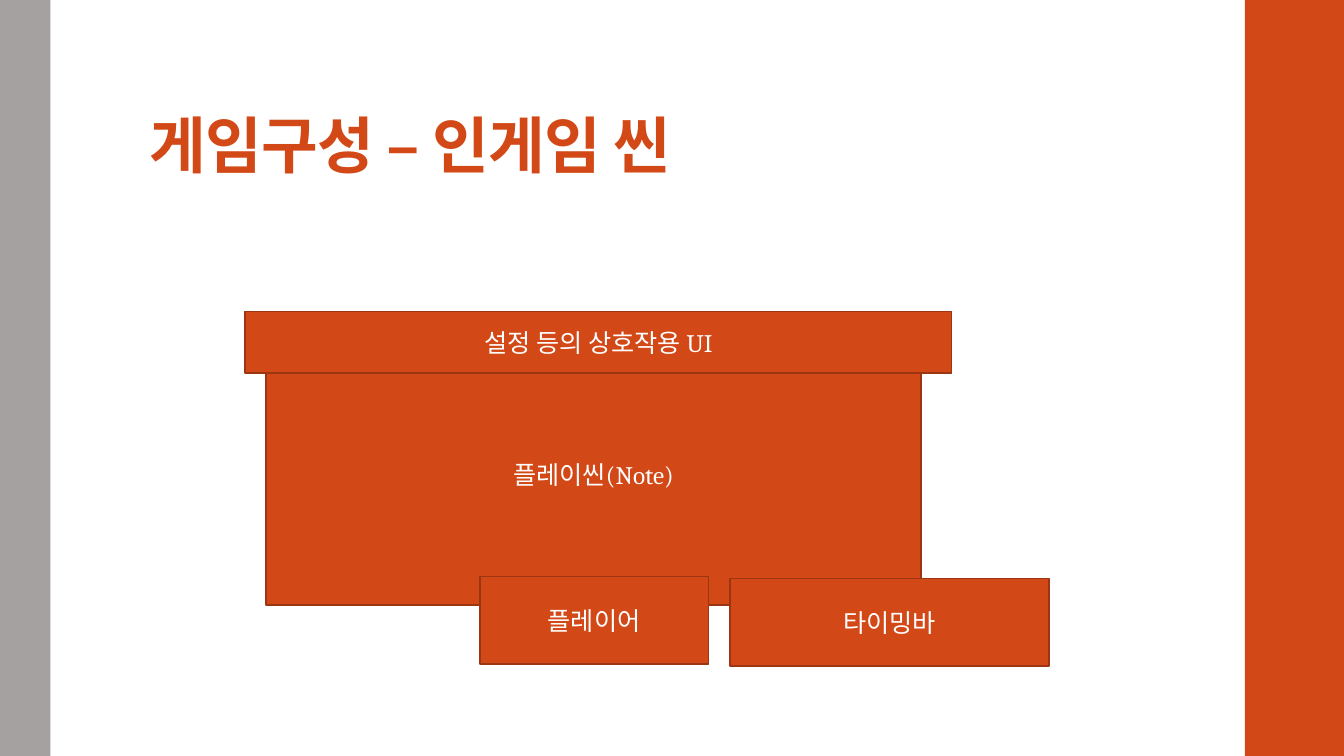
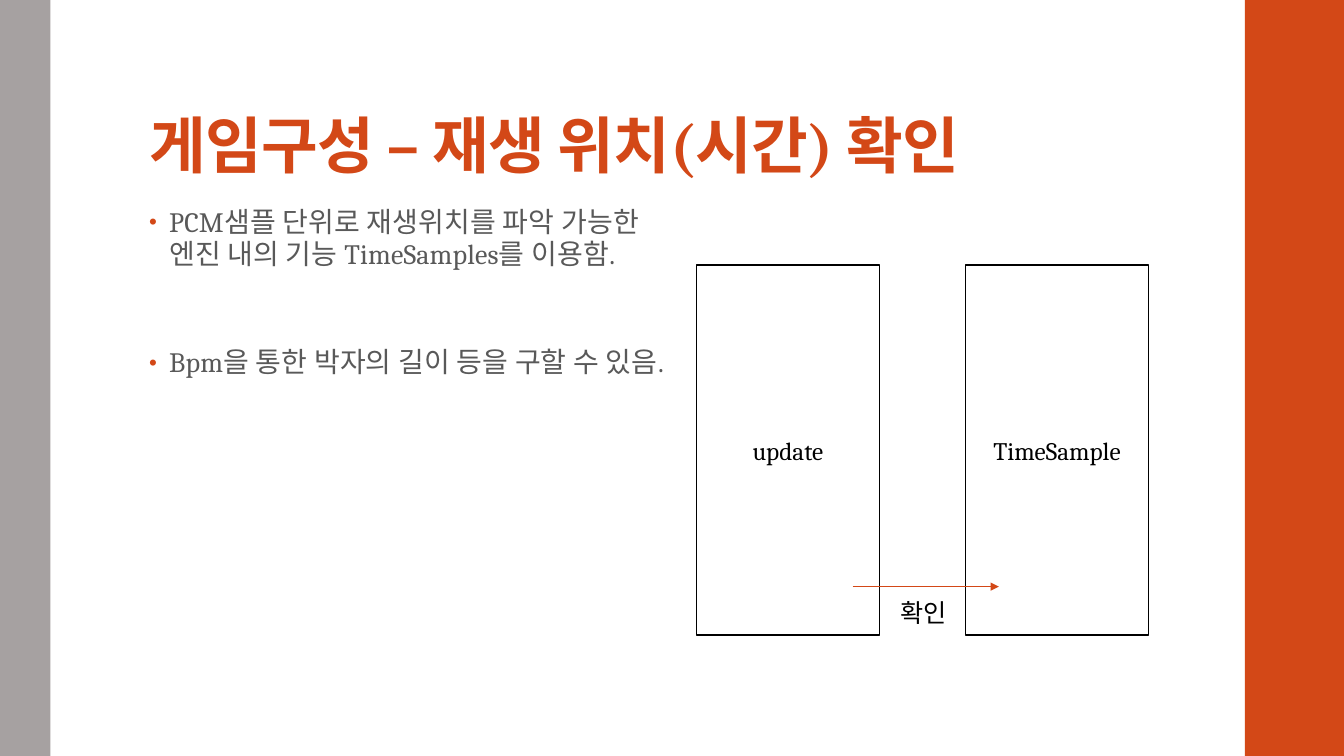
import pptx
import pptx.dml.color
import pptx.enum.shapes
import pptx.enum.text
import pptx.oxml
import pptx.oxml.ns
import pptx.util
import lxml.etree

Pt = pptx.util.Pt
MSO_SHAPE = pptx.enum.shapes.MSO_SHAPE
ANCHOR = pptx.enum.text.MSO_ANCHOR
ALIGN = pptx.enum.text.PP_ALIGN

# Shared look
W, H = 960, 540
ORANGE, RUST, GREY = "D34817", "9C3511", "A6A1A1"
TEXT, BLACK, WHITE = "595959", "000000", "FFFFFF"
FONT = "Cambria"
BANDS = [(889.2, W - 889.2, ORANGE), (0, 36, GREY)]
TITLE_BOX = (99.4, 23, 763.2, 110.2)
TITLE = dict(size=44, bold=True, color=ORANGE, spc=-50)
BODY = dict(size=20, color=TEXT, spc=10)
LABEL = dict(size=18)

# Slide 1: screen areas, from back to front
SCENE_TITLE = "게임구성 – 인게임 씬"
SCENE_PARTS = [
    ("플레이씬(Note)", (190, 245.5, 468, 186.5)),
    ("타이밍바", (521.3, 413.3, 228.2, 62.6)),
    ("플레이어", (342.7, 411.8, 163.4, 62.6)),
    ("설정 등의 상호작용 UI", (175, 222.5, 504.7, 43.9)),
]

# Slide 2: bullets and the two columns
TIME_TITLE = "게임구성 – 재생 위치(시간) 확인"
BULLETS = [
    "PCM샘플 단위로 재생위치를 파악 가능한\v엔진 내의 기능 TimeSamples를 이용함.",
    "Bpm을 통한 박자의 길이 등을 구할 수 있음.",
]
BULLET_BOX = (99.4, 144, 676.8, 342.7)
BULLET_GAP, INDENT = 53, 14.4
COLUMNS = ["update", "TimeSample"]
COL_X, COL_Y, COL_W, COL_H, COL_STEP = 497.5, 189.4, 130.6, 264.3, 192.2
ARROW_X1, ARROW_X2, ARROW_Y = 609.1, 713.5, 419
CHECK, CHECK_BOX = "확인", (635.8, 423.4, 82.8, 28.8)


def rgb(color):
    return pptx.dml.color.RGBColor.from_string(color)


def set_font(p, color=BLACK, spc=0, **fmt):
    for r in p.runs:
        for name, value in dict(name=FONT, **fmt).items():
            setattr(r.font, name, Pt(value) if name == "size" else value)
        r.font.color.rgb = rgb(color)
        if spc:
            r._r.get_or_add_rPr().set("spc", str(spc))


def add_rect(s, box, fill, line=None, text="", color=WHITE):
    sp = s.shapes.add_shape(MSO_SHAPE.RECTANGLE, *map(Pt, box))
    sp.shadow.inherit = False
    sp.fill.solid()
    sp.fill.fore_color.rgb = rgb(fill)
    if line:
        sp.line.color.rgb = rgb(line)
        sp.line.width = Pt(1.1)
    else:
        sp.line.fill.background()
    if text:
        sp.text_frame.vertical_anchor = ANCHOR.MIDDLE
        p = sp.text_frame.paragraphs[0]
        p.text = text
        p.alignment = ALIGN.CENTER
        set_font(p, color=color, **LABEL)


def add_text(s, box, texts, fmt):
    tf = s.shapes.add_textbox(*map(Pt, box)).text_frame
    tf.word_wrap = True
    for i, text in enumerate(texts):
        p = tf.paragraphs[0] if i == 0 else tf.add_paragraph()
        p.text = text
        set_font(p, **fmt)
    return tf


def add_bullet(p):
    pPr = p._p.get_or_add_pPr()
    pPr.set("marL", str(Pt(INDENT)))
    pPr.set("indent", str(-Pt(INDENT)))
    ns = pptx.oxml.ns.nsdecls("a")
    for xml in (f'<a:buClr {ns}><a:srgbClr val="{ORANGE}"/></a:buClr>',
                f'<a:buSzPct {ns} val="80000"/>',
                f'<a:buFont {ns} typeface="Arial"/>',
                f'<a:buChar {ns} char="•"/>'):
        pPr.append(pptx.oxml.parse_xml(xml))


def add_arrow(s, x1, x2, y):
    c = s.shapes.add_connector(pptx.enum.shapes.MSO_CONNECTOR.STRAIGHT,
                               Pt(x1), Pt(y), Pt(x2), Pt(y))
    c.line.color.rgb = rgb(ORANGE)
    c.line.width = Pt(0.75)
    qn = pptx.oxml.ns.qn
    lxml.etree.SubElement(c.line._get_or_add_ln(), qn("a:tailEnd"), type="triangle")
    lxml.etree.SubElement(c._element.spPr, qn("a:effectLst"))


def new_slide(prs, title):
    s = prs.slides.add_slide(prs.slide_layouts[6])
    for x, w, color in BANDS:
        add_rect(s, (x, 0, w, H), color)
    tf = add_text(s, TITLE_BOX, [title], TITLE)
    tf.vertical_anchor = ANCHOR.BOTTOM
    tf.margin_top = Pt(2.2)
    tf.paragraphs[0].line_spacing = 0.9
    return s


def build_scene(prs):
    s = new_slide(prs, SCENE_TITLE)
    for text, box in SCENE_PARTS:
        add_rect(s, box, ORANGE, RUST, text)


def build_time(prs):
    s = new_slide(prs, TIME_TITLE)
    # Bullets
    tf = add_text(s, BULLET_BOX, BULLETS, BODY)
    for i, p in enumerate(tf.paragraphs):
        p.line_spacing = 0.95
        p.space_before = Pt(BULLET_GAP if i else 0)
        p.space_after = Pt(2)
        add_bullet(p)
    # Columns, with the check between them
    for i, text in enumerate(COLUMNS):
        box = (COL_X + i * COL_STEP, COL_Y, COL_W, COL_H)
        add_rect(s, box, WHITE, BLACK, text, BLACK)
    add_arrow(s, ARROW_X1, ARROW_X2, ARROW_Y)
    tf = add_text(s, CHECK_BOX, [CHECK], LABEL)
    tf.auto_size = pptx.enum.text.MSO_AUTO_SIZE.SHAPE_TO_FIT_TEXT


def main():
    prs = pptx.Presentation()
    prs.slide_width, prs.slide_height = Pt(W), Pt(H)
    build_scene(prs)
    build_time(prs)
    prs.save("out.pptx")


if __name__ == "__main__":
    main()
